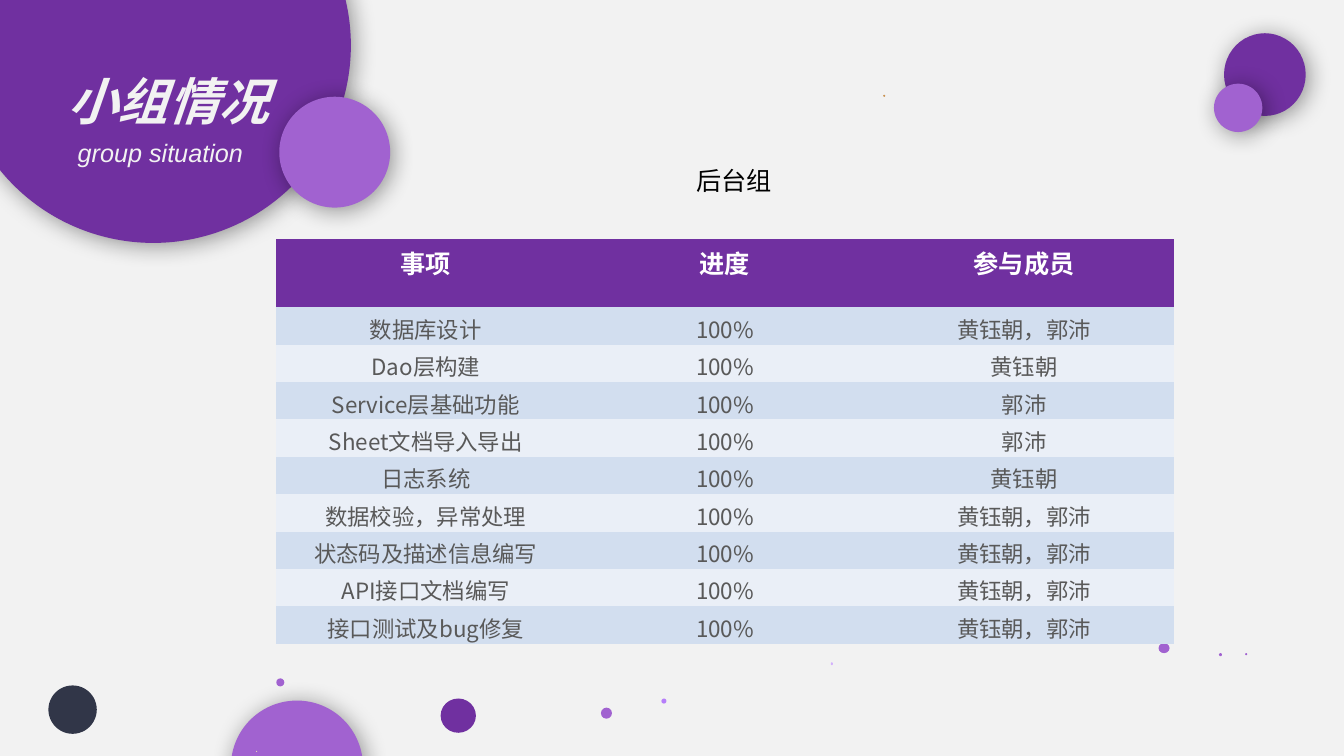
from pptx import Presentation
from pptx.dml.color import RGBColor
from pptx.enum import shapes, text
from pptx.oxml import parse_xml
from pptx.oxml.ns import nsdecls
from pptx.util import Inches, Pt

PURPLE, LILAC, PALE = "7030A0", "A162D0", "F2F2F2"
CJK = "Noto Sans CJK SC"


def paint(target, color):
    """Give a fill a solid colour."""
    target.solid()
    target.fore_color.rgb = RGBColor.from_string(color)


def write(frame, words, size, color, font=CJK, align=text.PP_ALIGN.LEFT,
          bold=False, italic=False):
    """Fill a text frame with one formatted paragraph."""
    frame.word_wrap = True
    paragraph = frame.paragraphs[0]
    paragraph.text = words
    paragraph.alignment = align
    paragraph.space_before = Pt(0)
    style = paragraph.font
    style.size, style.name, style.bold, style.italic = Pt(size), font, bold, italic
    paint(style.fill, color)
    # East Asian characters take their typeface from a:ea
    for run in paragraph.runs:
        run.font.name = font
        run.font._element.append(
            parse_xml(f'<a:ea {nsdecls("a")} typeface="{font}"/>'))
    return paragraph


deck = Presentation()
deck.slide_width, deck.slide_height = Inches(13.33), Inches(7.5)
slide = deck.slides.add_slide(deck.slide_layouts[0])
paint(slide.background.fill, PALE)

# Circles: left, top, width, height, colour, casts a shadow
circles = [
    (-0.44, -1.51, 3.92, 3.92, PURPLE, True),
    (2.77, 0.96, 1.1, 1.1, LILAC, True),
    (2.29, 6.95, 1.31, 1.31, LILAC, True),
    (0.48, 6.8, 0.48, 0.48, "313648", False),
    (4.37, 6.93, 0.35, 0.34, PURPLE, False),
    (12.14, 0.33, 0.81, 0.82, PURPLE, True),
    (12.04, 0.83, 0.48, 0.48, LILAC, True),
    (8.24, 6.57, 0.02, 0.03, "D3B2FC", False),
    (6.56, 6.93, 0.05, 0.05, "B67EFA", False),
    (5.96, 7.02, 0.11, 0.11, LILAC, False),
    (2.74, 6.73, 0.08, 0.08, LILAC, False),
    (2.54, 7.45, 0.01, 0.01, "EEE2B1", False),
    (12.35, 6.48, 0.02, 0.02, LILAC, False),
    (12.09, 6.48, 0.03, 0.03, LILAC, False),
    (11.49, 6.38, 0.11, 0.1, LILAC, False),
    (8.76, 0.94, 0.02, 0.02, "C89150", False),
]
for *box, color, shaded in circles:
    circle = slide.shapes.add_shape(shapes.MSO_SHAPE.OVAL, *map(Inches, box))
    paint(circle.fill, color)
    circle.line.fill.background()
    circle.shadow.inherit = False
    if shaded:
        circle._element.spPr.find("{*}effectLst").append(parse_xml(
            f'<a:outerShdw {nsdecls("a")} blurRad="{Pt(17)}" dist="{Pt(3)}" '
            'dir="2700000" algn="tl" rotWithShape="0"><a:srgbClr val="000000">'
            '<a:alpha val="40000"/></a:srgbClr></a:outerShdw>'))

# Title and subtitle, brought in front of the circles
title, subtitle = slide.shapes.title, slide.placeholders[1]
for holder, box, anchor in [
        (title, (0.38, 0.25, 2.58, 1.1), text.MSO_ANCHOR.BOTTOM),
        (subtitle, (0.67, 1.31, 2.37, 0.4), text.MSO_ANCHOR.TOP)]:
    holder.left, holder.top, holder.width, holder.height = map(Inches, box)
    holder.text_frame.vertical_anchor = anchor
    holder.text_frame.auto_size = text.MSO_AUTO_SIZE.NONE
    slide.shapes._spTree.append(holder._element)
heading = write(title.text_frame, "小组情况", 36, PALE, bold=True, italic=True,
                align=text.PP_ALIGN.CENTER)
heading.line_spacing = 0.9
write(subtitle.text_frame, "group situation", 18, PALE, font="Arial", italic=True)

# Progress table
both = "黄钰朝，郭沛"
tasks = [
    ("数据库设计", both),
    ("Dao层构建", "黄钰朝"),
    ("Service层基础功能", "郭沛"),
    ("Sheet文档导入导出", "郭沛"),
    ("日志系统", "黄钰朝"),
    ("数据校验，异常处理", both),
    ("状态码及描述信息编写", both),
    ("API接口文档编写", both),
    ("接口测试及bug修复", both),
]
rows = [("事项", "进度", "参与成员")]
rows += [(task, "100%", members) for task, members in tasks]
progress = slide.shapes.add_table(
    len(rows), 3, Inches(2.74), Inches(2.37), Inches(8.9), Inches(4)).table
for column in progress.columns:
    column.width = Inches(8.9 / 3)
for r, row in enumerate(rows):
    header = r == 0
    progress.rows[r].height = Inches(0.68 if header else 0.37)
    band = PURPLE if header else ("EAEFF7", "D2DEEF")[r % 2]
    for c, words in enumerate(row):
        cell = progress.cell(r, c)
        paint(cell.fill, band)
        cell.margin_top, cell.margin_bottom = Inches(0.05), 0
        write(cell.text_frame, words, 18 if header else 16,
              "FFFFFF" if header else "595959", bold=header,
              align=text.PP_ALIGN.CENTER)
# Plain cells without the style's white borders
style_id = progress._tbl.tblPr.find("{*}tableStyleId")
style_id.text = "{2D5ABB26-0587-4C30-8999-92F81FD0307C}"

# Group name above the table
group = slide.shapes.add_textbox(*map(Inches, (6.81, 1.59, 2.15, 0.4)))
write(group.text_frame, "后台组", 18, "000000")

deck.save("out.pptx")
